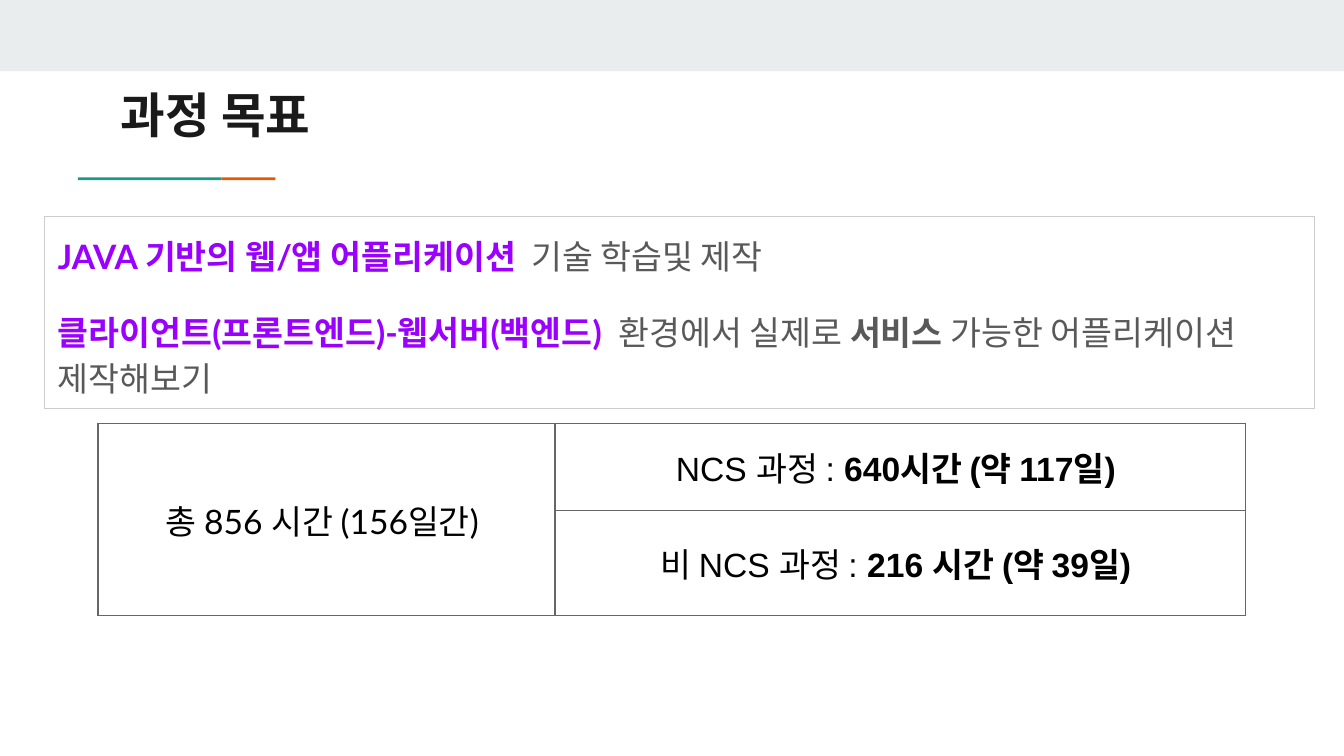
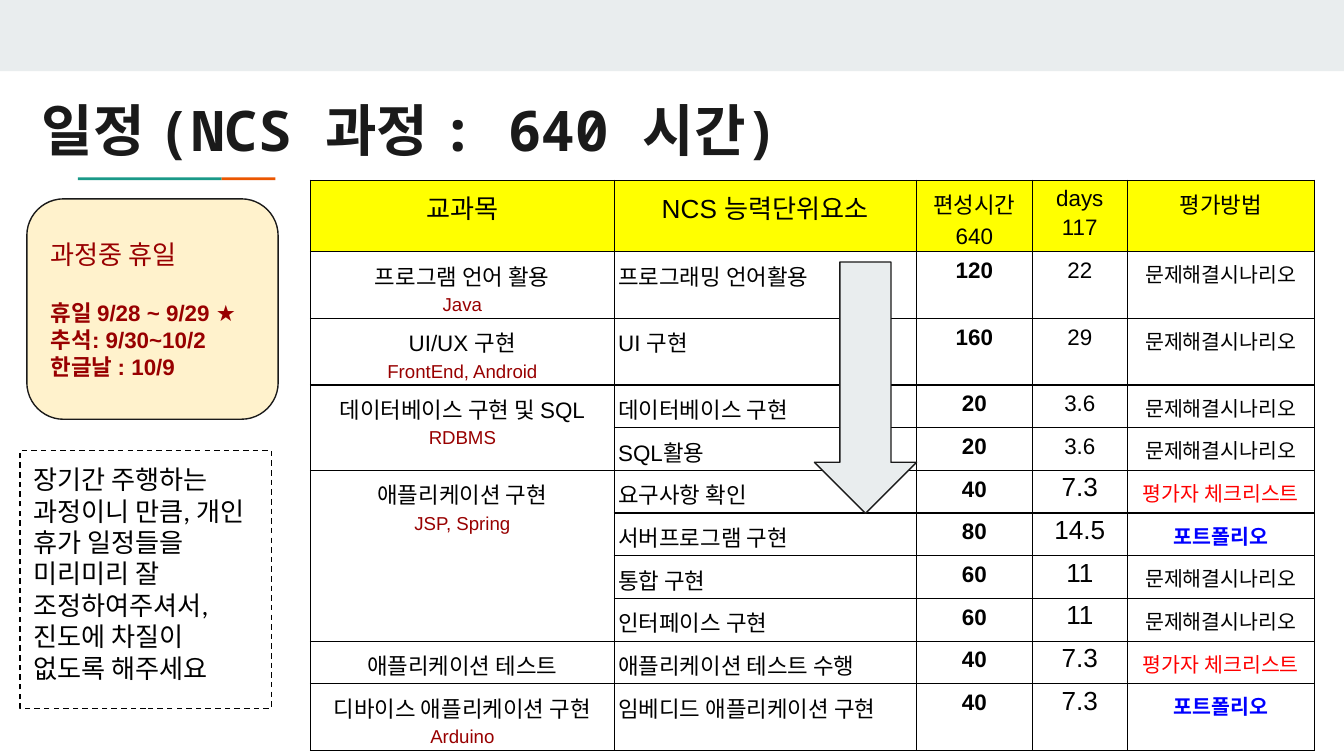
from pptx import Presentation
from pptx.dml.color import RGBColor
from pptx.enum.dml import MSO_LINE
from pptx.enum.shapes import MSO_SHAPE
from pptx.enum.text import MSO_ANCHOR, MSO_AUTO_SIZE, PP_ALIGN
from pptx.oxml import parse_xml
from pptx.oxml.ns import nsdecls
from pptx.util import Inches, Pt

INK = RGBColor(0x1A, 0x1A, 0x1A)
BLACK = RGBColor(0, 0, 0)
MIST = RGBColor(0xE9, 0xED, 0xEE)
TEAL = RGBColor(0x1A, 0x99, 0x88)
ORANGE = RGBColor(0xEB, 0x56, 0x00)
PURPLE = RGBColor(0x99, 0x00, 0xFF)
GRAY = RGBColor(0x59, 0x59, 0x59)
FRAME_GRAY = RGBColor(0xCC, 0xCC, 0xCC)
CREAM = RGBColor(0xFF, 0xF2, 0xCC)
MAROON = RGBColor(0x98, 0x00, 0x00)
YELLOW = RGBColor(0xFF, 0xFF, 0x00)
RED = RGBColor(0xFF, 0x00, 0x00)
BLUE = RGBColor(0x00, 0x00, 0xFF)


def write(frame, lines, font="Arial", align=PP_ALIGN.LEFT, spacing=1.0):
    frame.word_wrap = True
    frame.margin_left = frame.margin_right = Inches(0.1)
    frame.margin_top = frame.margin_bottom = Inches(0.1)
    for number, pieces in enumerate(lines):
        paragraph = frame.add_paragraph() if number else frame.paragraphs[0]
        paragraph.alignment = align
        paragraph.line_spacing = spacing
        paragraph.space_before = Pt(0)
        for text, size, color, bold in pieces:
            run = paragraph.add_run()
            run.text = text
            run.font.size = Pt(size)
            run.font.bold = bold
            run.font.color.rgb = color
            run.font.name = font


def add_grid(slide, left, top, widths, heights, border):
    table = slide.shapes.add_table(
        len(heights), len(widths), Inches(left), Inches(top),
        Inches(sum(widths)), Inches(sum(heights))).table
    table.first_row = table.horz_banding = False
    for column, width in zip(table.columns, widths):
        column.width = Inches(width)
    for row, height in zip(table.rows, heights):
        row.height = Inches(height)
    for cell in table.iter_cells():
        cell.fill.background()
        for place, side in enumerate(("lnL", "lnR", "lnT", "lnB")):
            cell._tc.get_or_add_tcPr().insert(place, parse_xml(
                f'<a:{side} {nsdecls("a")} w="9525"><a:solidFill>'
                f'<a:srgbClr val="{border}"/></a:solidFill></a:{side}>'))
    return table


prs = Presentation()
prs.slide_width = Inches(10)
prs.slide_height = Inches(10 * 9 / 16)

slides = []
for layout, title_text, font, size, left, top, width in [
    (1, "과정 목표", "Manrope", 26, 0.8, 0.53, 8.41),
    (5, "일정 (NCS 과정 : 640 시간)", "Noto Sans Mono", 30, 0.21, 0.61, 6.28),
]:
    slide = prs.slides.add_slide(prs.slide_layouts[layout])
    for x, y, w, h, color in [
        (0, 0, 10, 0.53, MIST),
        (0.58, 1.32, 1.07, 0.02, TEAL),
        (1.65, 1.32, 0.4, 0.02, ORANGE),
    ]:
        band = slide.shapes.add_shape(
            MSO_SHAPE.RECTANGLE, Inches(x), Inches(y), Inches(w), Inches(h))
        band.shadow.inherit = False
        band.fill.solid()
        band.fill.fore_color.rgb = color
        band.line.fill.background()
    title = slide.shapes.title
    title.left, title.top = Inches(left), Inches(top)
    title.width, title.height = Inches(width), Inches(0.59)
    title.text_frame.auto_size = MSO_AUTO_SIZE.NONE
    title.text_frame.vertical_anchor = MSO_ANCHOR.TOP
    write(title.text_frame, [[(title_text, size, INK, True)]], font)
    slides.append(slide)
goal_slide, schedule_slide = slides

hours = add_grid(goal_slide, 0.73, 3.15, (3.4, 5.14), (0.65, 0.78), "666666")
hours.cell(0, 0).merge(hours.cell(1, 0))
for row, column, font, pieces in [
    (0, 0, "Lato", [("총 856 시간 (156일간) ", 18, BLACK, False)]),
    (0, 1, "Arial", [("NCS 과정 : ", 18, BLACK, False),
                     ("640시간 (약 117일) ", 18, BLACK, True)]),
    (1, 1, "Arial", [("비 NCS 과정 : ", 18, BLACK, False),
                     ("216 시간 (약 39일) ", 18, BLACK, True)]),
]:
    cell = hours.cell(row, column)
    write(cell.text_frame, [pieces], font, PP_ALIGN.CENTER)
    cell.margin_left = cell.margin_right = cell.margin_top = cell.margin_bottom = Inches(0.1)
    cell.vertical_anchor = MSO_ANCHOR.MIDDLE

goals = goal_slide.placeholders[1]
goals.left, goals.top = Inches(0.33), Inches(1.61)
goals.width, goals.height = Inches(9.45), Inches(1.43)
goals.line.color.rgb = FRAME_GRAY
goals.line.width = Pt(0.75)
goals.text_frame.auto_size = MSO_AUTO_SIZE.NONE
write(goals.text_frame, [
    [("JAVA 기반의 웹/앱 어플리케이션 ", 18, PURPLE, True),
     (" 기술 학습및 제작", 18, GRAY, False)],
    [("클라이언트(프론트엔드)-웹서버(백엔드) ", 18, PURPLE, True),
     (" 환경에서 실제로 ", 18, GRAY, False),
     ("서비스 ", 18, GRAY, True),
     ("가능한 어플리케이션 제작해보기", 18, GRAY, False)],
], "Lato", spacing=1.15)
for paragraph in goals.text_frame.paragraphs:
    properties = paragraph._p.get_or_add_pPr()
    properties.set("marL", "0")
    properties.set("indent", "0")
    properties.append(parse_xml(f'<a:buNone {nsdecls("a")}/>'))
goals.text_frame.paragraphs[1].space_before = Pt(16)
goals.text_frame.paragraphs[1].space_after = Pt(16)

holidays = schedule_slide.shapes.add_shape(
    MSO_SHAPE.ROUNDED_RECTANGLE, Inches(0.2), Inches(1.48), Inches(1.87), Inches(1.64))
holidays.fill.solid()
holidays.fill.fore_color.rgb = CREAM
holidays.line.color.rgb = INK
holidays.text_frame.vertical_anchor = MSO_ANCHOR.MIDDLE
write(holidays.text_frame, [
    [("과정중 휴일", 14, MAROON, False)],
    [("휴일 9/28 ~ 9/29 ★", 12, MAROON, True)],
    [("추석: 9/30~10/2", 12, MAROON, True)],
    [("한글날 : 10/9", 12, MAROON, True)],
])
holidays.text_frame.paragraphs[1].space_before = Pt(16)

SCENARIO = ("문제해결시나리오", 11, BLACK, False)
CHECKLIST = ("평가자 체크리스트", 11, RED, False)
PORTFOLIO = ("포트폴리오", 11, BLUE, True)
headings = [
    (["교과목"], 14), (["NCS 능력단위요소"], 14), (["편성시간", "640"], 12),
    (["days", "117"], 12), (["평가방법"], 12),
]
subjects = [
    ("프로그램 언어 활용", "Java", [("프로그래밍 언어활용", "120", "22", SCENARIO)]),
    ("UI/UX 구현", "FrontEnd, Android", [("UI 구현", "160", "29", SCENARIO)]),
    ("데이터베이스 구현 및 SQL", "RDBMS", [
        ("데이터베이스 구현", "20", "3.6", SCENARIO),
        ("SQL활용", "20", "3.6", SCENARIO)]),
    ("애플리케이션 구현", "JSP, Spring", [
        ("요구사항 확인", "40", "7.3", CHECKLIST),
        ("서버프로그램 구현", "80", "14.5", PORTFOLIO),
        ("통합 구현", "60", "11", SCENARIO),
        ("인터페이스 구현", "60", "11", SCENARIO)]),
    ("애플리케이션 테스트", "", [("애플리케이션 테스트 수행", "40", "7.3", CHECKLIST)]),
    ("디바이스 애플리케이션 구현", "Arduino", [
        ("임베디드 애플리케이션 구현", "40", "7.3", PORTFOLIO)]),
]
schedule = add_grid(
    schedule_slide, 2.31, 1.34, (2.26, 2.25, 0.86, 0.71, 1.39),
    (0.52, 0.47, 0.47, 0.26, 0.26, 0.22, 0.22, 0.26, 0.26, 0.26, 0.3), "000000")
for column, (lines, size) in enumerate(headings):
    cell = schedule.cell(0, column)
    cell.fill.solid()
    cell.fill.fore_color.rgb = YELLOW
    write(cell.text_frame, [[(line, size, BLACK, False)] for line in lines],
          align=PP_ALIGN.CENTER, spacing=1.15)
row = 1
for subject, tools, units in subjects:
    subject_cell = schedule.cell(row, 0)
    if len(units) > 1:
        subject_cell.merge(schedule.cell(row + len(units) - 1, 0))
    lines = [[(subject, 12, BLACK, False)]]
    if tools:
        lines.append([(tools, 10, MAROON, False)])
    write(subject_cell.text_frame, lines, align=PP_ALIGN.CENTER, spacing=1.15)
    for unit, unit_hours, days, method in units:
        large_days = row >= 5
        for column, piece, align, spacing in [
            (1, (unit, 12, BLACK, False), PP_ALIGN.LEFT, 1.15),
            (2, (unit_hours, 12, BLACK, True), PP_ALIGN.CENTER, 1.15),
            (3, (days, 14 if large_days else 12, BLACK, False), PP_ALIGN.CENTER,
             1.0 if large_days else 1.15),
            (4, method, PP_ALIGN.CENTER, 1.15),
        ]:
            write(schedule.cell(row, column).text_frame, [[piece]], align=align, spacing=spacing)
        row += 1
for cell in schedule.iter_cells():
    cell.margin_left = cell.margin_right = Inches(0.03)
    cell.margin_top = cell.margin_bottom = Inches(0.02)

request = schedule_slide.shapes.add_shape(
    MSO_SHAPE.RECTANGLE, Inches(0.15), Inches(3.35), Inches(1.87), Inches(1.92))
request.fill.background()
request.line.color.rgb = BLACK
request.line.dash_style = MSO_LINE.DASH
request.text_frame.vertical_anchor = MSO_ANCHOR.TOP
write(request.text_frame, [[(
    "장기간 주행하는 과정이니 만큼, 개인 휴가 일정들을 미리미리 잘 조정하여주셔서, "
    "진도에 차질이 없도록 해주세요", 14, BLACK, False)]], "Lato")

progress = schedule_slide.shapes.add_shape(
    MSO_SHAPE.DOWN_ARROW, Inches(6.06), Inches(1.95), Inches(0.76), Inches(1.87))
progress.fill.solid()
progress.fill.fore_color.rgb = MIST
progress.line.color.rgb = INK

for outlined in (holidays, request, progress):
    outlined.shadow.inherit = False
    outlined.line.width = Pt(0.75)

prs.save("out.pptx")
